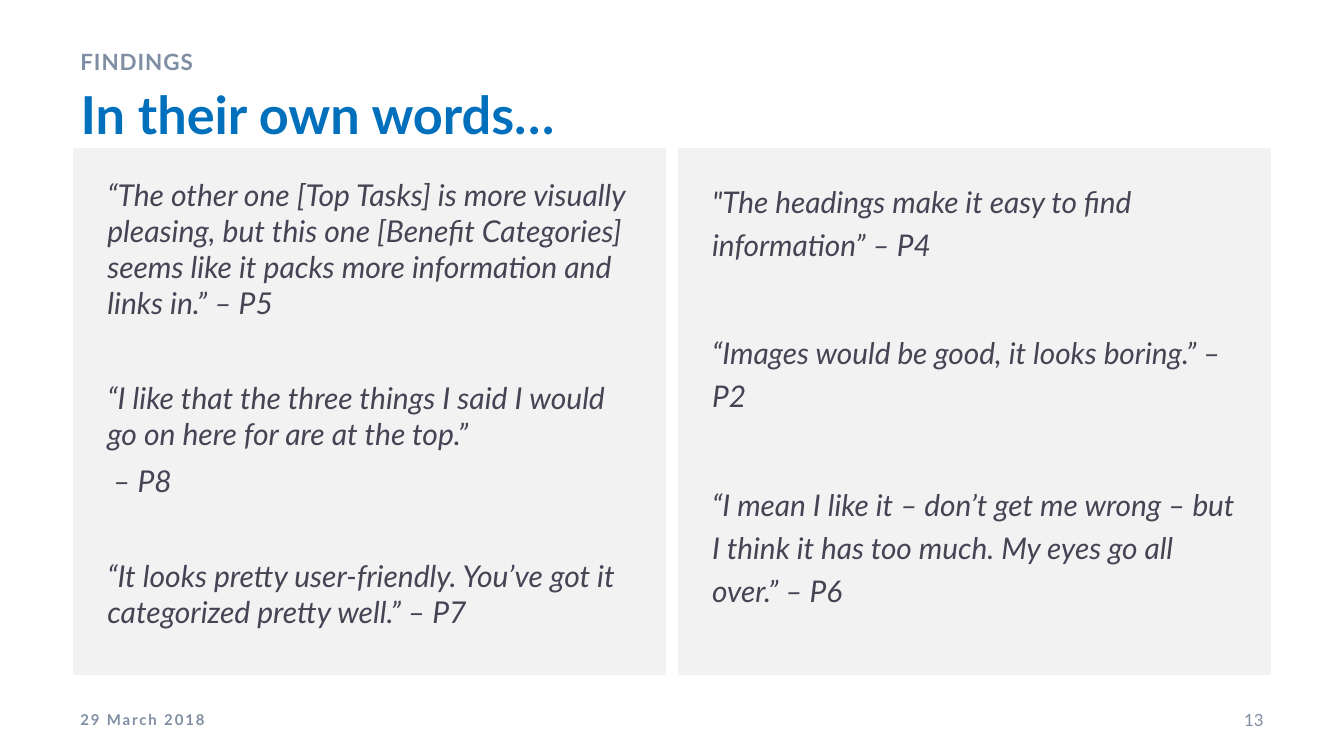
from pptx import Presentation
from pptx import util as u
from pptx.dml import color
from pptx.enum import shapes, text

BLUE = color.RGBColor(0x00, 0x70, 0xBC)
SLATE = color.RGBColor(0x7F, 0x8E, 0xA3)
INK = color.RGBColor(0x45, 0x44, 0x54)
PALE = color.RGBColor(0xF2, 0xF2, 0xF2)
WHITE = color.RGBColor(0xFF, 0xFF, 0xFF)

MARGIN = 1.27
PANEL_WIDTH = 11.43


def add_run(paragraph, words, size, ink, bold=False, italic=False, tracking=0):
    run = paragraph.add_run()
    run.text = words
    font = run.font
    font.name = "Lato"
    font.size = u.Pt(size)
    font.bold = bold
    font.italic = italic
    font.color.rgb = ink
    if tracking:
        font._element.set("spc", str(int(tracking * 100)))


deck = Presentation()
deck.slide_width = u.Cm(25.4)
deck.slide_height = u.Cm(14.29)
slide = deck.slides.add_slide(deck.slide_layouts[5])

heading = slide.shapes.title
heading.left, heading.top = u.Cm(MARGIN), u.Cm(1.42)
heading.width, heading.height = u.Cm(20.96), u.Cm(1.75)
heading.text_frame.auto_size = text.MSO_AUTO_SIZE.NONE
heading.text_frame.vertical_anchor = text.MSO_ANCHOR.TOP
heading_line = heading.text_frame.paragraphs[0]
heading_line.alignment = text.PP_ALIGN.LEFT
heading_line.space_before = u.Pt(0)
add_run(heading_line, "In their own words…", 28, BLUE, bold=True)

# size, line spacing, gap between quotes, then (words, starts a quote)
quote_columns = [
    (16.1, 1.0, 31.3, [
        ("“The other one [Top Tasks] is more visually pleasing, but this one "
         "[Benefit Categories] seems like it packs more information and links in.” – P5", True),
        ("“I like that the three things I said I would go on here for are at the top.”", True),
        ("– P8", False),
        ("“It looks pretty user-friendly. You’ve got it categorized pretty well.” – P7", True),
    ]),
    (16, 1.2, 35, [
        ("\"The headings make it easy to find information” – P4", True),
        ("“Images would be good, it looks boring.” – P2", True),
        ("“I mean I like it – don’t get me wrong – but I think it has too much. "
         "My eyes go all over.” – P6", True),
    ]),
]

for column, (size, spacing, quote_gap, quotes) in enumerate(quote_columns):
    panel = slide.shapes.add_shape(
        shapes.MSO_SHAPE.RECTANGLE, u.Cm(MARGIN + column * PANEL_WIDTH), u.Cm(2.7),
        u.Cm(PANEL_WIDTH), u.Cm(10.16))
    panel.shadow.inherit = False
    panel.fill.solid()
    panel.fill.fore_color.rgb = PALE
    panel.line.color.rgb = WHITE
    panel.line.width = u.Pt(6)
    frame = panel.text_frame
    frame.word_wrap = True
    frame.vertical_anchor = text.MSO_ANCHOR.TOP
    frame.margin_left = frame.margin_right = u.Cm(0.76)
    frame.margin_top = frame.margin_bottom = u.Cm(0.64)
    for index, (words, starts_quote) in enumerate(quotes):
        quote = frame.add_paragraph() if index else frame.paragraphs[0]
        quote.alignment = text.PP_ALIGN.LEFT
        quote.line_spacing = spacing
        if index:
            quote.space_before = u.Pt(quote_gap if starts_quote else 6)
        if not starts_quote:
            quote._p.get_or_add_pPr().set("marL", str(u.Cm(0.11)))
        add_run(quote, words, size, INK, italic=True)

TOP, MIDDLE = text.MSO_ANCHOR.TOP, text.MSO_ANCHOR.MIDDLE
LEFT, RIGHT = text.PP_ALIGN.LEFT, text.PP_ALIGN.RIGHT
small_labels = [
    ("29 March 2018", MARGIN, 13.23, 5.72, 0.76, MIDDLE, LEFT, 1.0, 8, True, 1),
    ("13", 22.23, 13.23, 1.9, 0.76, MIDDLE, RIGHT, 1.0, 9, False, 0),
    ("FINDINGS", MARGIN, 0.69, 20.96, 0.74, TOP, LEFT, 1.2, 12, True, 0.5),
]
for words, left, top, width, height, anchor, align, spacing, size, bold, tracking in small_labels:
    label = slide.shapes.add_textbox(u.Cm(left), u.Cm(top), u.Cm(width), u.Cm(height))
    label.text_frame.word_wrap = True
    label.text_frame.vertical_anchor = anchor
    label_line = label.text_frame.paragraphs[0]
    label_line.alignment = align
    label_line.line_spacing = spacing
    add_run(label_line, words, size, SLATE, bold=bold, tracking=tracking)

deck.save("out.pptx")
